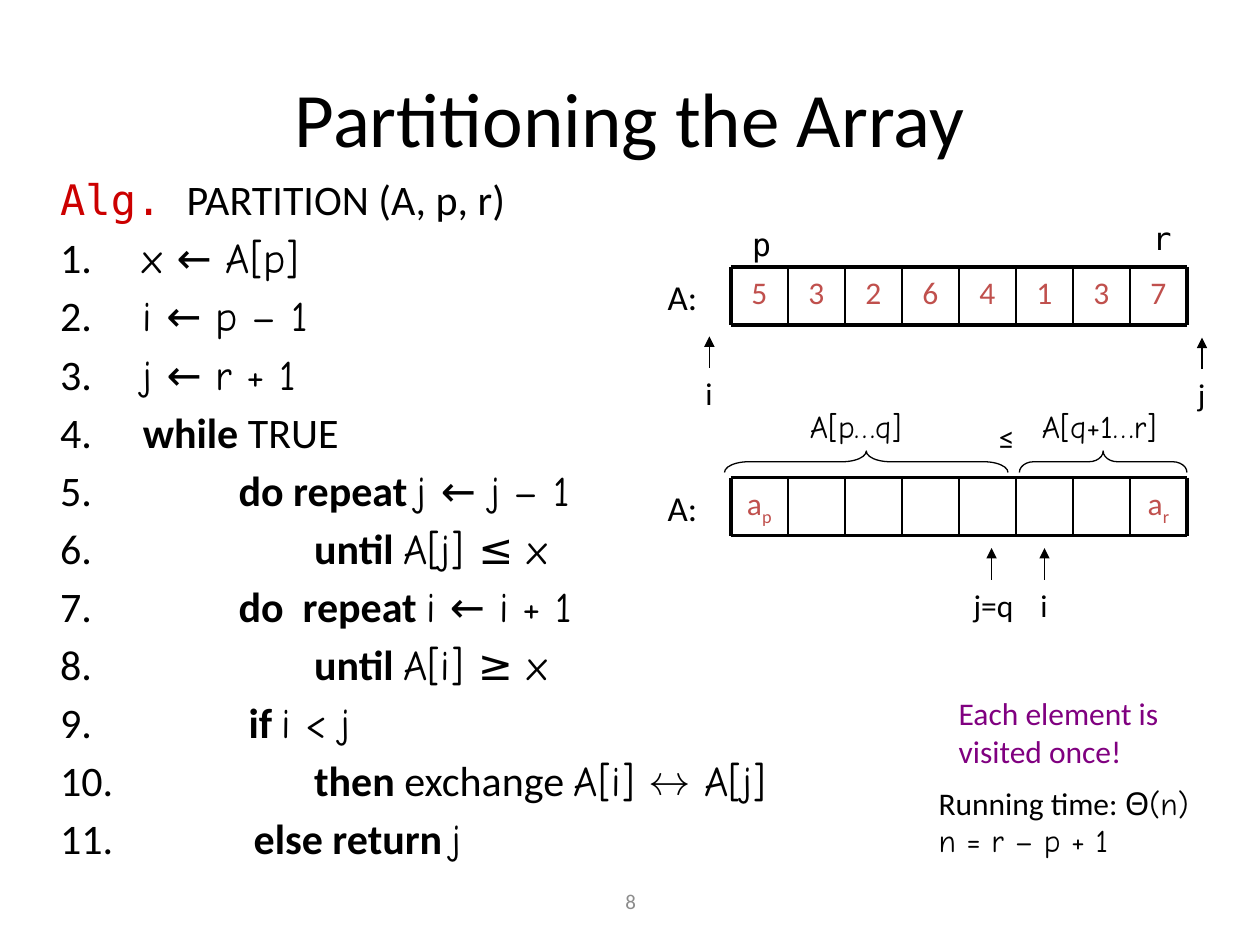
"""Build the slide on partitioning an array: pseudocode, two array diagrams and the running time."""
from dataclasses import dataclass

import lxml.etree
import pptx
import pptx.dml.color
import pptx.enum.shapes
import pptx.enum.text
import pptx.oxml
import pptx.oxml.ns
import pptx.util

Inches = pptx.util.Inches
Pt = pptx.util.Pt
Align = pptx.enum.text.PP_ALIGN
Anchor = pptx.enum.text.MSO_ANCHOR

BLACK = pptx.dml.color.RGBColor(0x00, 0x00, 0x00)
GREY = pptx.dml.color.RGBColor(0x8C, 0x8C, 0x8C)
RED = pptx.dml.color.RGBColor(0xCC, 0x00, 0x00)
BRICK = pptx.dml.color.RGBColor(0xC0, 0x50, 0x4D)
PURPLE = pptx.dml.color.RGBColor(0x80, 0x00, 0x80)

SANS = "Calibri"
HAND = "Comic Neue"
MONO = "DejaVu Sans Mono"

ARRAY_LEFT = 5.8
CELL_WIDTH = 0.4525
CELL_HEIGHT = 0.46
CODE_INDENT = 0.58


@dataclass(frozen=True)
class Span:
    text: str
    font: str = SANS
    color: pptx.dml.color.RGBColor = BLACK
    bold: bool = False
    subscript: bool = False


@dataclass(frozen=True)
class Label:
    left: float
    top: float
    width: float
    height: float
    lines: tuple
    size: float = 18
    align: Align = Align.LEFT
    anchor: Anchor = Anchor.TOP
    wrap: bool = False


@dataclass(frozen=True)
class CodeLine:
    indent: float
    spans: tuple


@dataclass(frozen=True)
class Array:
    top: float
    cells: tuple


@dataclass(frozen=True)
class Brace:
    left: float
    top: float
    height: float
    curve: float


def bold(text: str) -> Span:
    return Span(text, bold=True)


def hand(text: str) -> Span:
    return Span(text, HAND)


def fill_paragraph(para, spans: tuple, size: float) -> None:
    for span in spans:
        run = para.add_run()
        run.text = span.text
        run.font.name = span.font
        run.font.size = Pt(size)
        run.font.bold = span.bold
        run.font.color.rgb = span.color
        if span.subscript:
            run.font._element.set("baseline", "-25000")


def add_label(page, label: Label):
    box = page.shapes.add_textbox(
        Inches(label.left), Inches(label.top), Inches(label.width), Inches(label.height))
    frame = box.text_frame
    frame.word_wrap = label.wrap
    frame.vertical_anchor = label.anchor
    for index, spans in enumerate(label.lines):
        para = frame.add_paragraph() if index else frame.paragraphs[0]
        para.alignment = label.align
        fill_paragraph(para, spans, label.size)
    return box


def number_paragraph(para, indent: float) -> None:
    properties = para._p.get_or_add_pPr()
    properties.set("marL", str(Inches(indent)))
    properties.set("indent", str(-Inches(indent)))
    for tag, attributes in (("a:buFont", {"typeface": SANS}), ("a:buAutoNum", {"type": "arabicPeriod"})):
        lxml.etree.SubElement(properties, pptx.oxml.ns.qn(tag), attributes)


def add_code(page, heading: tuple, code: tuple) -> None:
    lines = (heading,) + tuple((Span(" "),) + line.spans for line in code)
    box = add_label(page, Label(0.38, 1.33, 9, 5.84, lines, 24, wrap=True))
    for para, line in zip(box.text_frame.paragraphs[1:], code):
        para.space_before = Pt(4.4)
        number_paragraph(para, line.indent)


def add_line(page, start: tuple, end: tuple, width: float, arrow: bool = False) -> None:
    line = page.shapes.add_connector(
        pptx.enum.shapes.MSO_CONNECTOR.STRAIGHT, *(Inches(value) for value in start + end))
    line.line.color.rgb = BLACK
    line.line.width = Pt(width)
    if arrow:
        lxml.etree.SubElement(
            line.line._get_or_add_ln(), pptx.oxml.ns.qn("a:tailEnd"), {"type": "triangle"})
    lxml.etree.SubElement(line._element.spPr, pptx.oxml.ns.qn("a:effectLst"))


def add_array(page, array: Array) -> None:
    count = len(array.cells)
    right = ARRAY_LEFT + count * CELL_WIDTH
    bottom = array.top + CELL_HEIGHT
    for index, spans in enumerate(array.cells):
        if spans:
            add_label(page, Label(ARRAY_LEFT + index * CELL_WIDTH, array.top, CELL_WIDTH,
                                  CELL_HEIGHT, (spans,), align=Align.CENTER, wrap=True))
    for level in (array.top, bottom):
        add_line(page, (ARRAY_LEFT, level), (right, level), 2.25)
    for index in range(count + 1):
        left = ARRAY_LEFT + index * CELL_WIDTH
        add_line(page, (left, array.top), (left, bottom), 2.25 if index in (0, count) else 1)
    add_label(page, Label(5.2, array.top + 0.02, 0.46, 0.43, ((Span("A:"),),), 20))


def add_brace(page, brace: Brace) -> None:
    shape = page.shapes.add_shape(
        pptx.enum.shapes.MSO_SHAPE.LEFT_BRACE,
        Inches(brace.left), Inches(brace.top), Inches(0.17), Inches(brace.height))
    shape.rotation = 90
    shape.adjustments[0] = brace.curve
    shape.shadow.inherit = False
    shape.fill.background()
    shape.line.color.rgb = BLACK
    shape.line.width = Pt(0.75)


CODE = (
    CodeLine(CODE_INDENT, (hand("x ← A[p]"),)),
    CodeLine(CODE_INDENT, (hand("i ← p – 1"),)),
    CodeLine(CODE_INDENT, (hand("j ← r + 1"),)),
    CodeLine(CODE_INDENT, (bold("while"), Span(" TRUE"))),
    CodeLine(1.34, (bold("do repeat "), hand("j ← j – 1"))),
    CodeLine(1.94, (bold("until "), hand("A[j] ≤ x"))),
    CodeLine(1.34, (bold("do  repeat "), hand("i ← i + 1"))),
    CodeLine(1.94, (bold("until "), hand("A[i] ≥ x"))),
    CodeLine(1.42, (bold("if "), hand("i < j"))),
    CodeLine(1.94, (bold("then"), Span(" exchange "), hand("A[i] ↔ A[j]"))),
    CodeLine(1.46, (bold("else return "), hand("j"))),
)
ARRAYS = (
    Array(2.12, tuple((Span(digit, color=BRICK),) for digit in "53264137")),
    Array(3.79, ((Span("a", color=BRICK), Span("p", color=BRICK, subscript=True)),) + ((),) * 6
          + ((Span("a", color=BRICK), Span("r", color=BRICK, subscript=True)),)),
)
BRACES = (Brace(6.79, 2.54, 2.25, 1.125), Brace(8.67, 3, 1.33, 0.667))
ARROWS = ((5.63, 2.92), (9.54, 2.93), (8.29, 4.6), (7.87, 4.6))
LABELS = (
    Label(3.42, 6.95, 3.17, 0.4, ((Span("8", color=GREY),),), 12, Align.CENTER, Anchor.MIDDLE, True),
    Label(0.5, 0.3, 9, 1.25, ((Span("Partitioning the Array"),),), 44, Align.CENTER, Anchor.MIDDLE, True),
    Label(7.35, 6.17, 2.31, 0.7, ((Span("Running time: "), hand("Θ(n)")), (hand("n = r – p + 1"),))),
    Label(5.5, 2.92, 0.26, 0.4, ((Span("i"),),)),
    Label(9.41, 2.93, 0.26, 0.4, ((Span("j"),),)),
    Label(8.16, 4.6, 0.26, 0.4, ((Span("i"),),)),
    Label(7.63, 4.6, 0.54, 0.4, ((Span("j=q"),),)),
    Label(6.33, 3.18, 1, 0.4, ((hand("A[p…q]"),),)),
    Label(8.17, 3.18, 1.22, 0.4, ((hand("A[q+1…r]"),),)),
    Label(7.83, 3.27, 0.34, 0.4, ((Span("≤"),),)),
    Label(5.87, 1.74, 0.31, 0.4, ((Span("p", MONO),),)),
    Label(9.05, 1.69, 0.28, 0.4, ((Span("r", MONO),),)),
    Label(7.51, 5.46, 1.98, 0.7,
          ((Span("Each element is", color=PURPLE),), (Span("visited once!", color=PURPLE),))),
)


def main() -> None:
    deck = pptx.Presentation()
    deck.slide_width, deck.slide_height = Inches(10), Inches(7.5)
    page = deck.slides.add_slide(deck.slide_layouts[6])
    add_code(page, (Span("Alg. ", MONO, RED), Span("PARTITION (A, p, r)")), CODE)
    for array in ARRAYS:
        add_array(page, array)
    for brace in BRACES:
        add_brace(page, brace)
    for left, bottom in ARROWS:
        add_line(page, (left, bottom), (left, bottom - 0.25), 0.75, arrow=True)
    for label in LABELS:
        add_label(page, label)
    deck.save("out.pptx")


if __name__ == "__main__":
    main()
